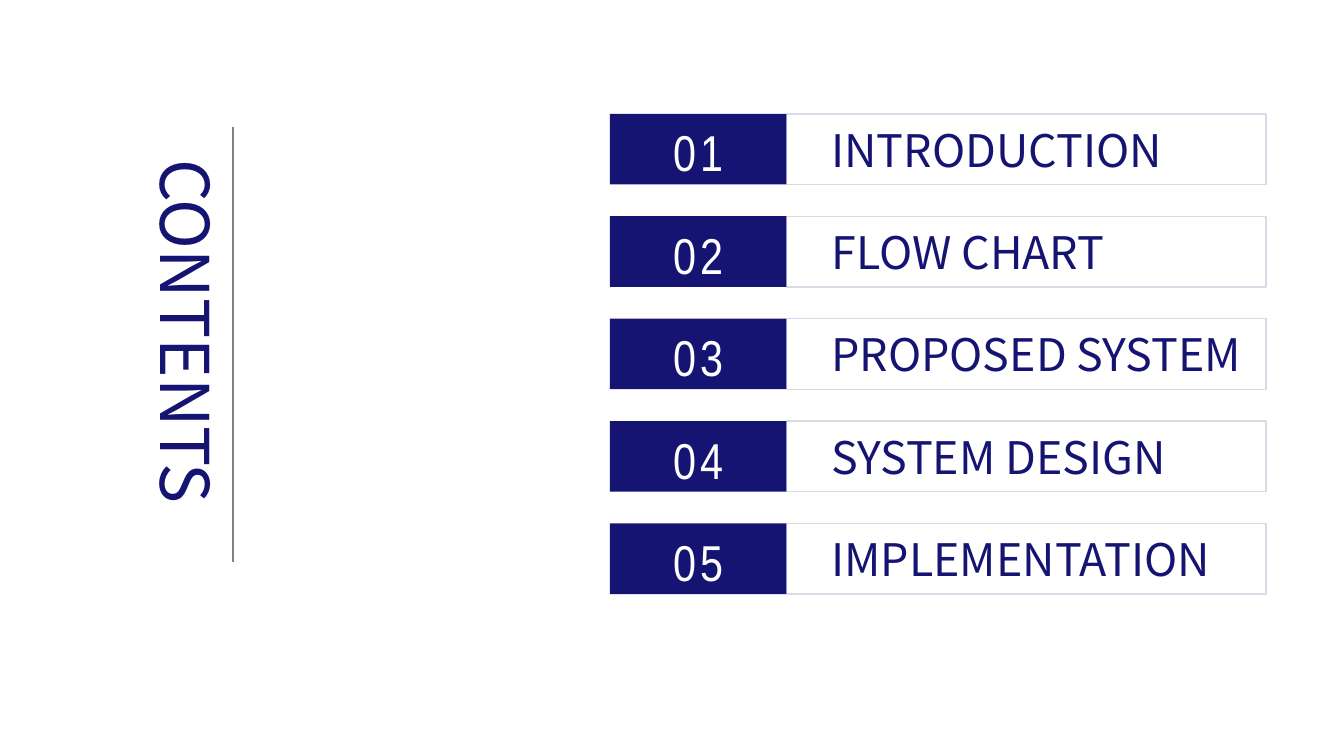
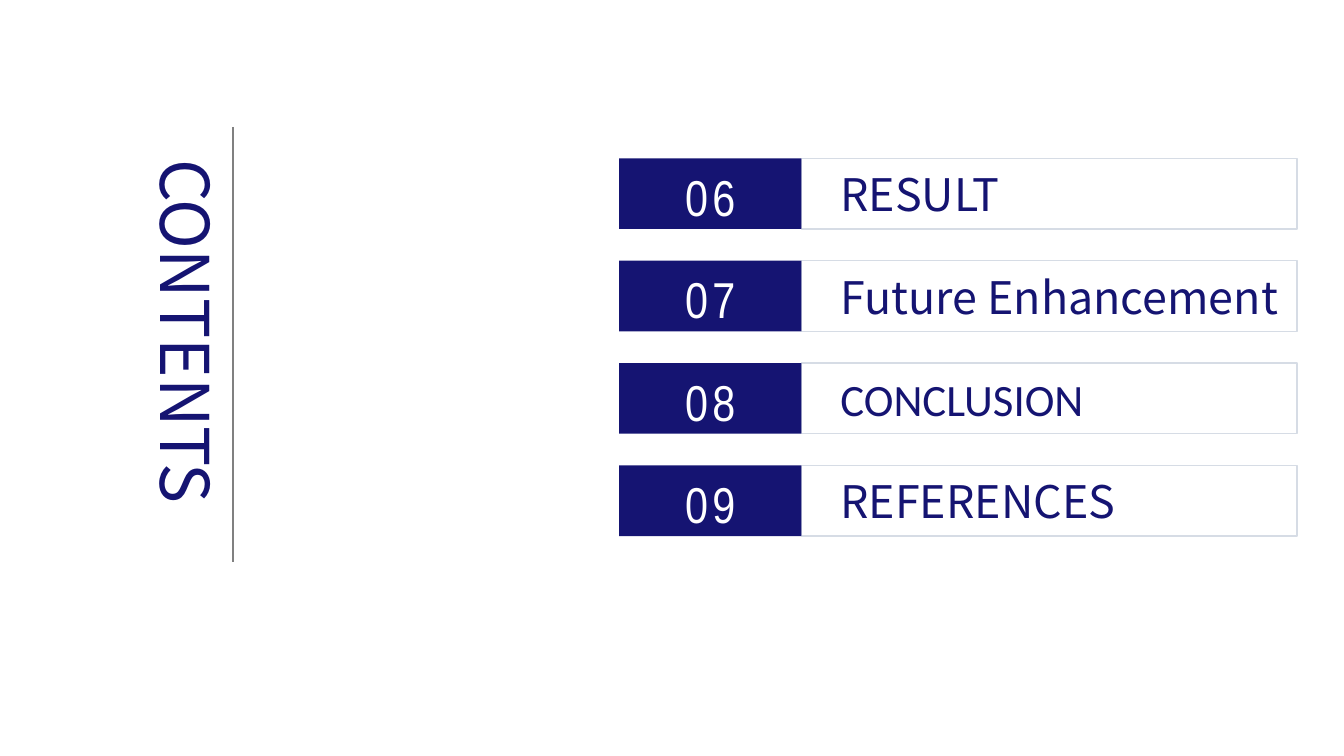
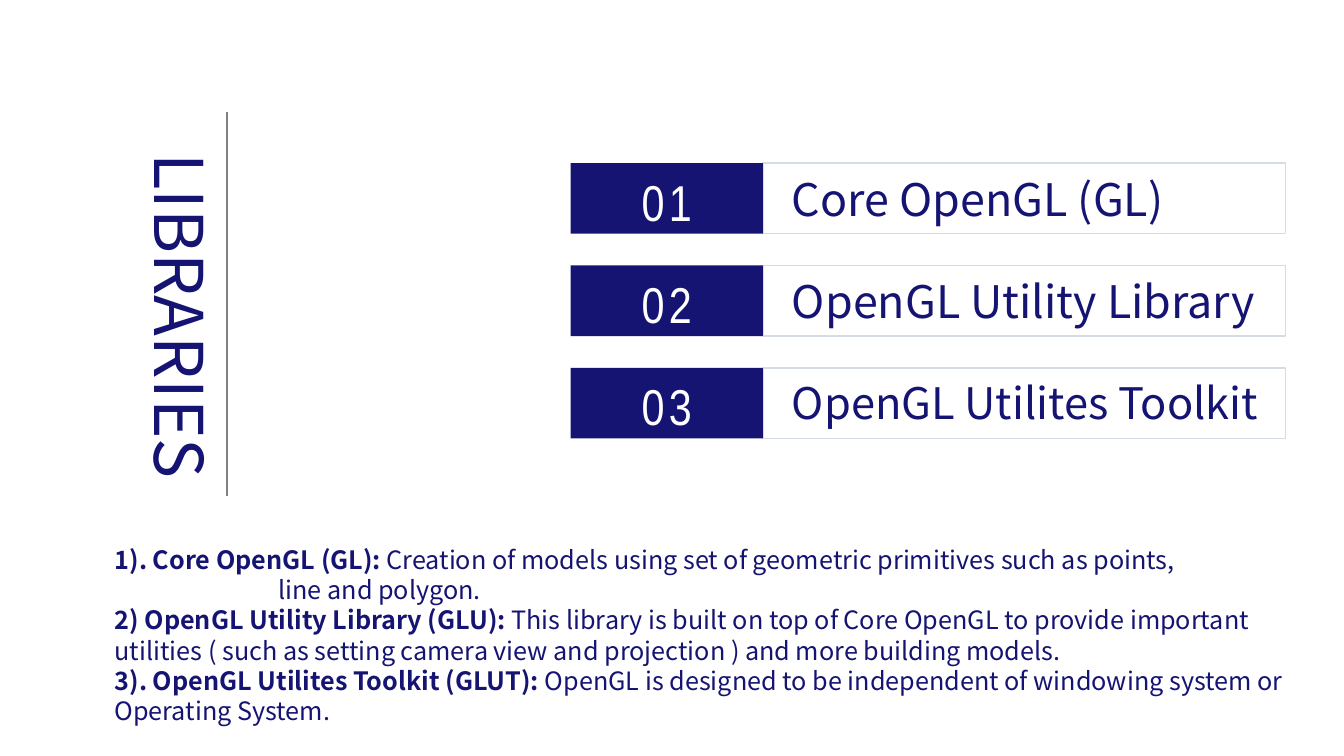
from lxml.etree import SubElement
from pptx import Presentation
from pptx.dml.color import RGBColor
from pptx.enum.shapes import MSO_CONNECTOR as Connector, MSO_SHAPE as Shape
from pptx.enum.text import MSO_ANCHOR as Anchor, PP_ALIGN as Align
from pptx.oxml.ns import qn
from pptx.util import Cm, Pt

COLORS = {"navy": "151472", "white": "FFFFFF", "rule": "808080", "frame": "D6DCE5"}
SANS, NARROW, CALIBRI = "Noto Sans CJK JP", "Arial Narrow", "Calibri"
ROW_HEIGHT, ROW_PITCH = 1.78, 2.58
NUMBER_SHARE = 0.269
LABEL_INDENT, LABEL_DROP = 5.33, 0.09
TITLE_WIDTH = 2.57
BODY_INDENT = 4.13


def color(name):
    return RGBColor.from_string(COLORS[name])


def style(para, size, name=SANS, tint="navy"):
    para.font.size = Pt(size)
    para.font.name = name
    para.font.color.rgb = color(tint)


def add_text_box(page, left, top, width, height, wrap=True):
    box = page.shapes.add_textbox(Cm(left), Cm(top), Cm(width), Cm(height))
    box.text_frame.word_wrap = wrap
    return box.text_frame


def add_rectangle(page, left, top, width, height):
    shape = page.shapes.add_shape(Shape.RECTANGLE, Cm(left), Cm(top), Cm(width), Cm(height))
    shape.shadow.inherit = False
    return shape


def add_side_title(page, text, rule_left, rule_top, rule_height, title_top, title_height):
    frame = add_text_box(page, rule_left - TITLE_WIDTH, title_top, TITLE_WIDTH, title_height, wrap=False)
    frame._txBody.bodyPr.set("vert", "eaVert")
    para = frame.paragraphs[0]
    para.text = text
    style(para, 48)

    rule = page.shapes.add_connector(
        Connector.STRAIGHT, Cm(rule_left), Cm(rule_top), Cm(rule_left), Cm(rule_top + rule_height))
    rule.line.color.rgb = color("rule")
    rule.line.width = Pt(1.5)
    SubElement(rule._element.spPr, qn("a:effectLst"))


def add_number(page, text, left, top, width):
    tile = add_rectangle(page, left, top, width, ROW_HEIGHT)
    tile.fill.solid()
    tile.fill.fore_color.rgb = color("navy")
    tile.line.fill.background()
    frame = tile.text_frame
    frame.vertical_anchor = Anchor.MIDDLE
    frame.margin_top, frame.margin_bottom = Cm(0.13), Cm(0)
    para = frame.paragraphs[0]
    para.text = text
    para.alignment = Align.CENTER
    style(para, 36, NARROW, "white")
    para.font._rPr.set("spc", "300")


def add_row(page, number, label, left, top, width, size=32, name=SANS):
    number_width = width * NUMBER_SHARE
    frame = add_rectangle(page, left + number_width, top, width - number_width, ROW_HEIGHT)
    frame.fill.background()
    frame.line.color.rgb = color("frame")
    frame.line.width = Pt(1)
    add_number(page, f"{number:02}", left, top, number_width)

    text = add_text_box(page, left + LABEL_INDENT, top + LABEL_DROP, width - LABEL_INDENT, 1.63)
    para = text.paragraphs[0]
    para.text = label
    style(para, size, name)


def add_rows(page, labels, left, top, width, first=1, fonts={}):
    for index, label in enumerate(labels):
        add_row(page, first + index, label, left, top + index * ROW_PITCH, width, **fonts.get(label, {}))


def add_descriptions(page, entries, left, top, width, height):
    frame = add_text_box(page, left, top, width, height)
    for index, (heading, lines) in enumerate(entries):
        para = frame.add_paragraph() if index else frame.paragraphs[0]
        if len(lines) > 1:
            properties = para._p.get_or_add_pPr()
            properties.set("marL", str(Cm(BODY_INDENT)))
            properties.set("indent", str(-Cm(BODY_INDENT)))
        style(para, 18)
        span = para.add_run()
        span.text = heading + " "
        span.font.bold = True
        for position, line in enumerate(lines):
            if position:
                para.add_line_break()
            para.add_run().text = line


def add_page(deck):
    return deck.slides.add_slide(deck.slide_layouts[6])


def add_contents(deck, labels, **rows):
    page = add_page(deck)
    add_side_title(page, "CONTENTS", 5.87, 3.2, 10.97, 3.76, 9.45)
    add_rows(page, labels, **rows)


def add_libraries(deck):
    page = add_page(deck)
    add_side_title(page, "LIBRARIES", 5.72, 2.82, 9.68, 3.61, 8.59)
    labels = ["Core OpenGL (GL)", "OpenGL Utility Library", "OpenGL Utilites Toolkit"]
    add_rows(page, labels, 14.38, 4.11, 18.01, fonts={labels[2]: {"size": 31}})
    add_descriptions(page, [
        ("1). Core OpenGL (GL):",
         ["Creation of models using set of geometric primitives such as points,", "line and polygon."]),
        ("2) OpenGL Utility Library (GLU):",
         ["This library is built on top of Core OpenGL to provide important utilities "
          "( such as setting camera view and projection ) and more building models."]),
        ("3). OpenGL Utilites Toolkit (GLUT):",
         ["OpenGL is designed to be independent of windowing system or Operating System."]),
    ], 2.64, 13.59, 31.22, 4.88)


def main():
    deck = Presentation()
    deck.slide_width, deck.slide_height = Cm(33.87), Cm(19.05)
    add_contents(
        deck, ["INTRODUCTION", "FLOW CHART", "PROPOSED SYSTEM", "SYSTEM DESIGN", "IMPLEMENTATION"],
        left=15.37, top=2.87, width=16.54)
    add_contents(
        deck, ["RESULT", "Future Enhancement", "CONCLUSION", "REFERENCES"],
        left=15.6, top=3.99, width=17.09, first=6, fonts={"CONCLUSION": {"name": CALIBRI}})
    add_libraries(deck)
    deck.save("out.pptx")


if __name__ == "__main__":
    main()
